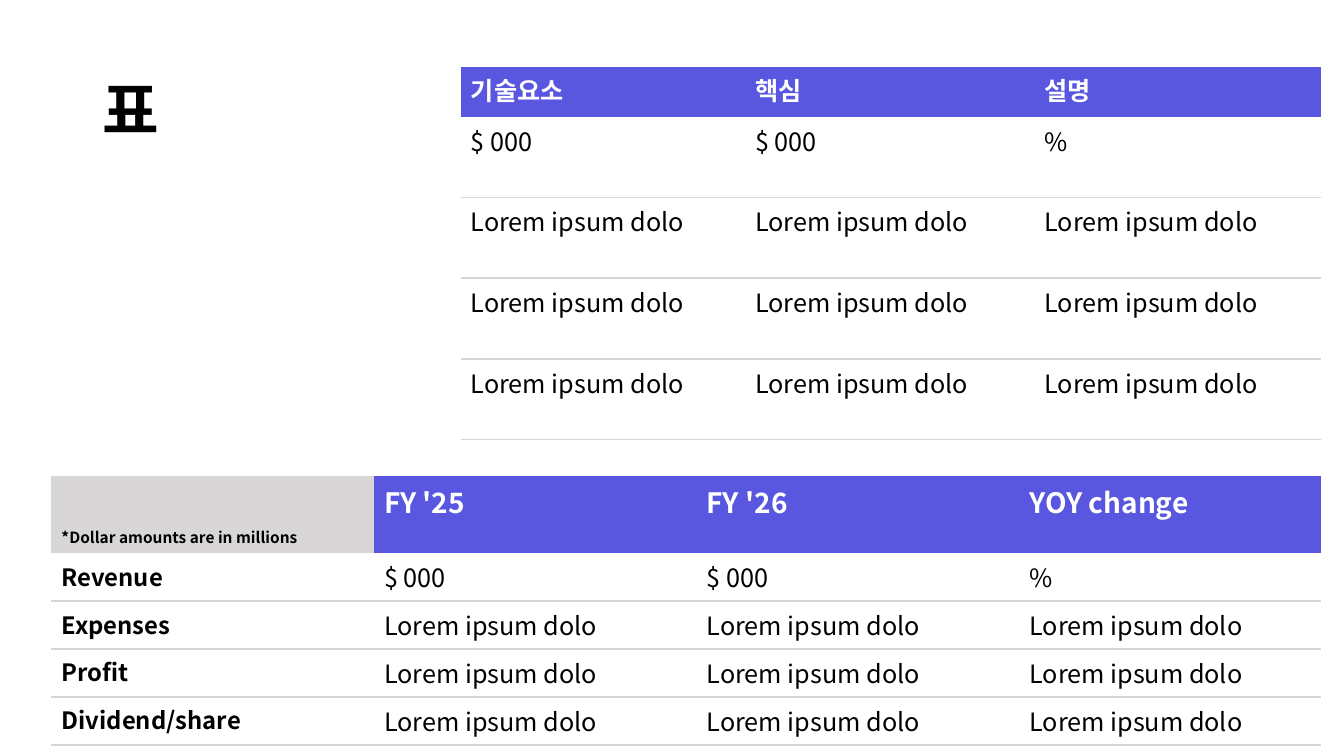
from dataclasses import dataclass

from lxml.etree import SubElement
from pptx import Presentation
from pptx.dml.color import RGBColor
from pptx.enum.text import MSO_ANCHOR
from pptx.oxml import parse_xml
from pptx.oxml.ns import qn
from pptx.util import Inches, Pt

LOREM = "Lorem ipsum dolo"
AMOUNTS = ["$ 000", "$ 000", "%"]
TITLE = "표"
NOTE = "*Dollar amounts are in millions"
FINANCE = [
    [NOTE, "FY '25", "FY '26", "YOY change"],
    ["Revenue", *AMOUNTS],
    *[[label] + [LOREM] * 3 for label in ("Expenses", "Profit", "Dividend/share")],
]
TECHNOLOGY = [["기술요소", "핵심", "설명"], AMOUNTS, *[[LOREM] * 3] * 3]


@dataclass(frozen=True)
class Theme:
    font: str = "Noto Sans CJK KR"
    title_font: str = "Lato"
    accent: str = "5956E0"
    grey: str = "D8D6D6"
    black: str = "000000"
    white: str = "FFFFFF"
    title: int = 44
    finance_head: int = 20
    body: int = 18
    label: int = 17
    note: int = 11
    rule: float = 1.5


T = Theme()
NO_GRID = "{2D5ABB26-0587-4C30-8999-92F81FD0307C}"
NS = "http://schemas.openxmlformats.org/drawingml/2006/main"


def style_run(r, size, color, bold, font=T.font):
    r.font.size, r.font.bold, r.font.name = Pt(size), bold, font
    r.font.color.rgb = RGBColor.from_string(color)
    SubElement(r._r.get_or_add_rPr(), qn("a:ea")).set("typeface", T.font)


def rule_cell(cell, sides):
    tcPr = cell._tc.get_or_add_tcPr()
    for i, side in enumerate(sides):
        tcPr.insert(i, parse_xml(
            f'<a:ln{side} xmlns:a="{NS}" w="{Pt(T.rule)}"><a:solidFill>'
            f'<a:srgbClr val="{T.grey}"/></a:solidFill></a:ln{side}>'))


def add_grid(s, data, left, top, widths, heights, head_size, labelled):
    frame = s.shapes.add_table(len(data), len(widths), Inches(left), Inches(top),
                               Inches(sum(widths)), Inches(sum(heights)))
    table = frame.table
    table.horz_banding = False
    table._tbl.tblPr.find(qn("a:tableStyleId")).text = NO_GRID
    for col, width in zip(table.columns, widths):
        col.width = Inches(width)
    for row, height in zip(table.rows, heights):
        row.height = Inches(height)
    for i, values in enumerate(data):
        for j, value in enumerate(values):
            cell = table.cell(i, j)
            cell.text_frame.text = value
            label = labelled and j == 0
            fill, size, color = None, T.label if label else T.body, T.black
            if i == 0:
                fill, size, color = ((T.grey, T.note, T.black) if label
                                     else (T.accent, head_size, T.white))
            if fill:
                cell.fill.solid()
                cell.fill.fore_color.rgb = RGBColor.from_string(fill)
            else:
                cell.fill.background()
                rule_cell(cell, "B" if i == 1 else "TB")
            cell.vertical_anchor = MSO_ANCHOR.BOTTOM if label and i == 0 else MSO_ANCHOR.TOP
            style_run(cell.text_frame.paragraphs[0].runs[0], size, color, i == 0 or label)


def add_title(s):
    tf = s.shapes.add_textbox(Inches(0.92), Inches(0.4), Inches(11.5), Inches(1.45)).text_frame
    tf.word_wrap = True
    tf.vertical_anchor = MSO_ANCHOR.MIDDLE
    tf.text = TITLE
    p = tf.paragraphs[0]
    p.line_spacing = 0.9
    style_run(p.runs[0], T.title, T.black, True, T.title_font)


def main():
    prs = Presentation()
    prs.slide_width, prs.slide_height = Inches(13.33), Inches(7.5)
    s = prs.slides.add_slide(prs.slide_layouts[6])
    add_title(s)
    add_grid(s, FINANCE, 0.51, 4.72, [3.2] * 3 + [2.99], [0.77] + [0.475] * 4,
             T.finance_head, True)
    add_grid(s, TECHNOLOGY, 4.57, 0.66, [2.82, 2.87, 2.84], [0.5] + [0.8] * 4,
             T.body, False)
    prs.save("out.pptx")


if __name__ == "__main__":
    main()
